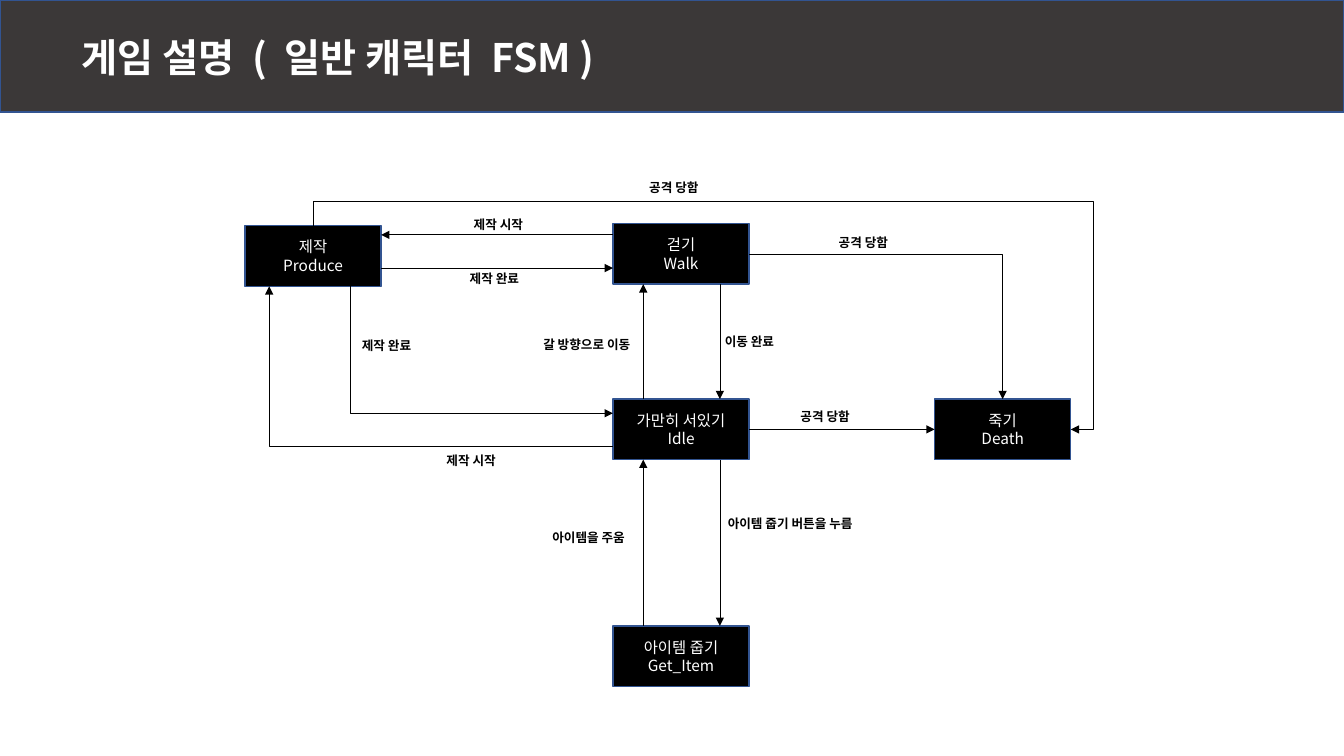
from lxml.etree import SubElement
from pptx import Presentation
from pptx.dml.color import RGBColor
from pptx.enum.shapes import MSO_CONNECTOR, MSO_SHAPE
from pptx.enum.text import MSO_ANCHOR, PP_ALIGN
from pptx.oxml.ns import qn
from pptx.util import Inches, Pt

FONT = "Noto Sans CJK KR"
INK = {"bar": "3B3838", "edge": "325491", "black": "000000", "white": "FFFFFF"}
COLS = {"left": 2.43, "mid": 6.08, "right": 9.27}
ROWS = {"top": 2.22, "idle": 3.96, "item": 6.21}
WIDE, HIGH = 1.35, 0.6


def write(shape, text, size, color, bold=False, align=PP_ALIGN.LEFT,
          anchor=MSO_ANCHOR.TOP, wrap=True):
    """Fill a shape with text: a newline starts a paragraph, a bar is a wide space."""
    frame = shape.text_frame
    frame.word_wrap = wrap
    frame.vertical_anchor = anchor
    for i, line in enumerate(text.split("\n")):
        para = frame.add_paragraph() if i else frame.paragraphs[0]
        para.alignment = align
        for part in line.replace("|", "| |").split("|"):
            run = para.add_run()
            run.text = part
            run.font.name, run.font.size, run.font.bold = FONT, Pt(size), bold
            run.font.color.rgb = RGBColor.from_string(INK[color])
            props = run._r.get_or_add_rPr()
            if part == " ":
                props.set("spc", "630")
            SubElement(props, qn("a:ea")).set("typeface", FONT)


def block(x, y, w, h, fill):
    shape = slide.shapes.add_shape(
        MSO_SHAPE.RECTANGLE, Inches(x), Inches(y), Inches(w), Inches(h))
    shape.shadow.inherit = False
    shape.fill.solid()
    shape.fill.fore_color.rgb = RGBColor.from_string(INK[fill])
    shape.line.color.rgb = RGBColor.from_string(INK["edge"])
    shape.line.width = Pt(1)
    return shape


deck = Presentation()
deck.slide_width, deck.slide_height = Inches(13.33), Inches(7.5)
slide = deck.slides.add_slide(deck.slide_layouts[6])

# Title bar
block(0, 0, 13.33, 1.11, "bar")
title = slide.shapes.add_textbox(Inches(0.71), Inches(0.28), Inches(5.96), Inches(0.57))
write(title, "게임 설명|(|일반 캐릭터|FSM )", 28, "white", bold=True)

# States
states = {}
for name, text, col, row in [
    ("make", "제작\nProduce", "left", "top"),
    ("walk", "걷기\nWalk", "mid", "top"),
    ("idle", "가만히 서있기\nIdle", "mid", "idle"),
    ("death", "죽기\nDeath", "right", "idle"),
    ("item", "아이템 줍기\nGet_Item", "mid", "item"),
]:
    drop = 0.02 if name == "make" else 0
    states[name] = block(COLS[col], ROWS[row] + drop, WIDE, HIGH, "black")
    write(states[name], text, 11, "white", align=PP_ALIGN.CENTER,
          anchor=MSO_ANCHOR.MIDDLE)

# Moves between states: start, end, preset for a bent line, its bends
up, down = COLS["mid"] + 0.3, COLS["mid"] + 1.06
left, mid, right = COLS.values()
top, idle, item = ROWS.values()
centre = idle + HIGH / 2
moves = [
    ((down, idle + HIGH), (down, item), None, []),
    ((up, item), (up, idle + HIGH), None, []),
    ((down, top + HIGH), (down, idle), None, []),
    ((up, idle), (up, top + HIGH), None, []),
    ((mid, top + 0.11), (left + WIDE, top + 0.11), None, []),
    ((left + WIDE, top + 0.44), (mid, top + 0.44), None, []),
    ((mid + WIDE, centre), (right, centre), None, []),
    ((mid + WIDE, top + HIGH / 2), (right + WIDE / 2, idle), "bentConnector2", []),
    ((mid, idle + 0.47), (left + 0.24, top + 0.62), "bentConnector2", []),
    ((left + 1.05, top + 0.62), (mid, idle + 0.14), "bentConnector3", [0]),
    ((left + WIDE / 2, top + 0.02), (right + WIDE, centre), "bentConnector5",
     [0, -0.12, 1.03]),
]
for start, end, bent, bends in moves:
    kind = MSO_CONNECTOR.ELBOW if bent else MSO_CONNECTOR.STRAIGHT
    arrow = slide.shapes.add_connector(kind, *map(Inches, start + end))
    if start[1] == end[1] == centre:
        arrow.begin_connect(states["idle"], 3)
        arrow.end_connect(states["death"], 1)
    arrow.line.color.rgb = RGBColor.from_string(INK["black"])
    arrow.line.width = Pt(0.5)
    props = arrow._element.spPr
    SubElement(arrow.line._get_or_add_ln(), qn("a:tailEnd")).set("type", "triangle")
    SubElement(props, qn("a:effectLst"))
    if bent:
        shape = props.find(qn("a:prstGeom"))
        shape.set("prst", bent)
        guides = shape.find(qn("a:avLst"))
        for i, bend in enumerate(bends, 1):
            guide = SubElement(guides, qn("a:gd"))
            guide.set("name", f"adj{i}" if len(bends) > 1 else "adj1")
            guide.set("fmla", f"val {round(bend * 100000)}")

# Labels of the moves
for text, x, y, w in [
    ("공격 당함", 6.34, 1.74, 0.75),
    ("제작 시작", 4.6, 2.1, 0.75),
    ("제작 완료", 4.56, 2.64, 0.75),
    ("공격 당함", 8.22, 2.28, 0.75),
    ("제작 완료", 3.49, 3.3, 0.75),
    ("갈 방향으로 이동", 5.29, 3.29, 1.17),
    ("이동 완료", 7.09, 3.26, 0.75),
    ("공격 당함", 7.84, 4.01, 0.75),
    ("제작 시작", 4.33, 4.44, 0.75),
    ("아이템을 주움", 5.38, 5.21, 1),
    ("아이템 줍기 버튼을 누름", 7.12, 5.07, 1.6),
]:
    label = slide.shapes.add_textbox(Inches(x), Inches(y), Inches(w), Inches(0.25))
    write(label, text, 9, "black", bold=True, wrap=False)

deck.save("out.pptx")
